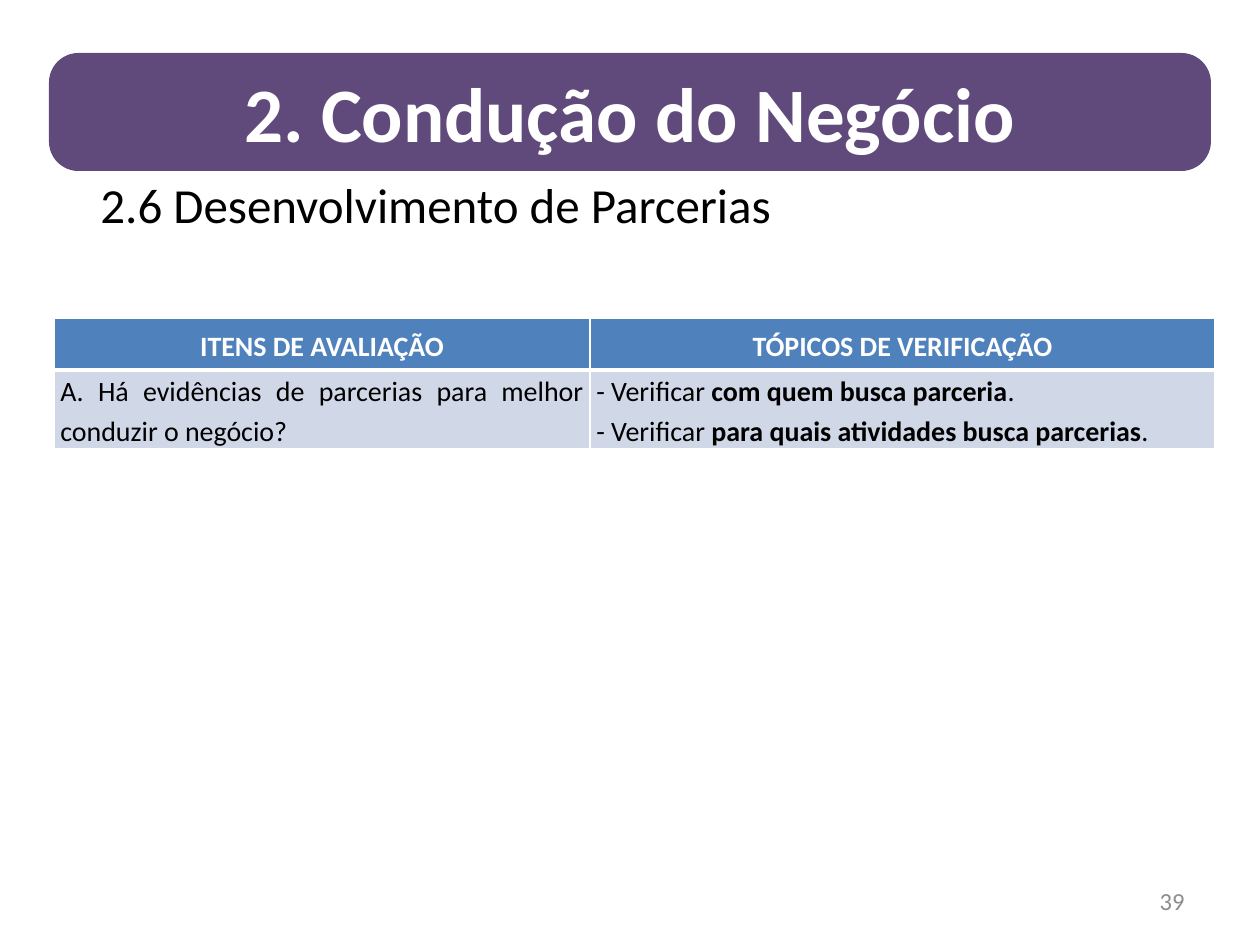
from lxml import etree
from pptx import Presentation
from pptx.dml.color import RGBColor
from pptx.enum import shapes, text
from pptx.oxml.ns import qn
from pptx import util as u

THEME = {
    "font": "Calibri",
    "white": "FFFFFF", "black": "000000", "purple": "604A7B",
    "blue": "4F81BD", "pale": "D0D8E8", "gray": "8C8C8C",
    "banner": 44, "subtitle": 28, "table": 16, "number": 14,
}
ALIGN, ANCHOR = text.PP_ALIGN, text.MSO_ANCHOR


def px(*lengths):
    return [u.Emu(round(length * 914400 / 126)) for length in lengths]


def write(frame, lines, size, color, align, bold=False, spacing=None):
    """Fill a frame; each line is a list of (wording, strong) pairs."""
    frame.word_wrap = True
    for index, line in enumerate(lines):
        para = frame.paragraphs[0] if index == 0 else frame.add_paragraph()
        para.alignment = align
        para.line_spacing = spacing
        para.font.name = THEME["font"]
        para.font.size = u.Pt(THEME[size])
        para.font.color.rgb = RGBColor.from_string(THEME[color])
        para.font.bold = bold
        for wording, strong in line:
            span = para.add_run()
            span.text = wording
            if strong:
                span.font.bold = True


deck = Presentation()
deck.slide_width, deck.slide_height = px(1260, 945)
page = deck.slides.add_slide(deck.slide_layouts[6])

# Evaluation table
table = page.shapes.add_table(2, 2, *px(54, 318, 1161, 129)).table
for column, width in zip(table.columns, px(536, 625)):
    column.width = width
for row, height in zip(table.rows, px(52, 77)):
    row.height = height

rows = [
    [[[("ITENS DE AVALIAÇÃO", False)]],
     [[("TÓPICOS DE VERIFICAÇÃO", False)]]],
    [[[("A. Há evidências de parcerias para melhor conduzir o negócio?", False)]],
     [[("- Verificar ", False), ("com quem busca parceria", True), (".", False)],
      [("- Verificar ", False), ("para quais atividades busca parcerias", True),
       (".", False)]]],
]
for row_index, row in enumerate(rows):
    header = row_index == 0
    for column_index, lines in enumerate(row):
        cell = table.cell(row_index, column_index)
        cell.vertical_anchor = ANCHOR.MIDDLE
        cell.margin_left = cell.margin_right = u.Inches(0.05)
        cell.margin_top = cell.margin_bottom = 0
        write(cell.text_frame, lines, "table", "white" if header else "black",
              ALIGN.CENTER if header else ALIGN.JUSTIFY, header, 1.15)
        cell.fill.solid()
        cell.fill.fore_color.rgb = RGBColor.from_string(THEME["blue" if header else "pale"])
        # White borders, thick between header and body
        thick = "lnB" if header else "lnT"
        properties = cell._tc.get_or_add_tcPr()
        for position, side in enumerate(("lnL", "lnR", "lnT", "lnB")):
            line = etree.Element(qn("a:" + side), w=str(u.Pt(3 if side == thick else 1)))
            fill = etree.SubElement(line, qn("a:solidFill"))
            etree.SubElement(fill, qn("a:srgbClr"), val=THEME["white"])
            properties.insert(position, line)

# Subtitle
subtitle = page.shapes.add_textbox(*px(88, 168, 1091, 135))
write(subtitle.text_frame, [[("2.6 Desenvolvimento de Parcerias", False)]],
      "subtitle", "black", ALIGN.LEFT)

# Title banner
banner = page.shapes.add_shape(shapes.MSO_SHAPE.ROUNDED_RECTANGLE, *px(49, 53, 1162, 118))
banner.adjustments[0] = 0.25
banner.shadow.inherit = False
banner.fill.solid()
banner.fill.fore_color.rgb = RGBColor.from_string(THEME["purple"])
banner.line.fill.background()
banner.text_frame.vertical_anchor = ANCHOR.MIDDLE
write(banner.text_frame, [[("2. Condução do Negócio", False)]],
      "banner", "white", ALIGN.CENTER, True)

# Page number
number = page.shapes.add_textbox(*px(903, 876, 294, 50))
number.text_frame.vertical_anchor = ANCHOR.MIDDLE
write(number.text_frame, [[("39", False)]], "number", "gray", ALIGN.RIGHT)

deck.save("out.pptx")
